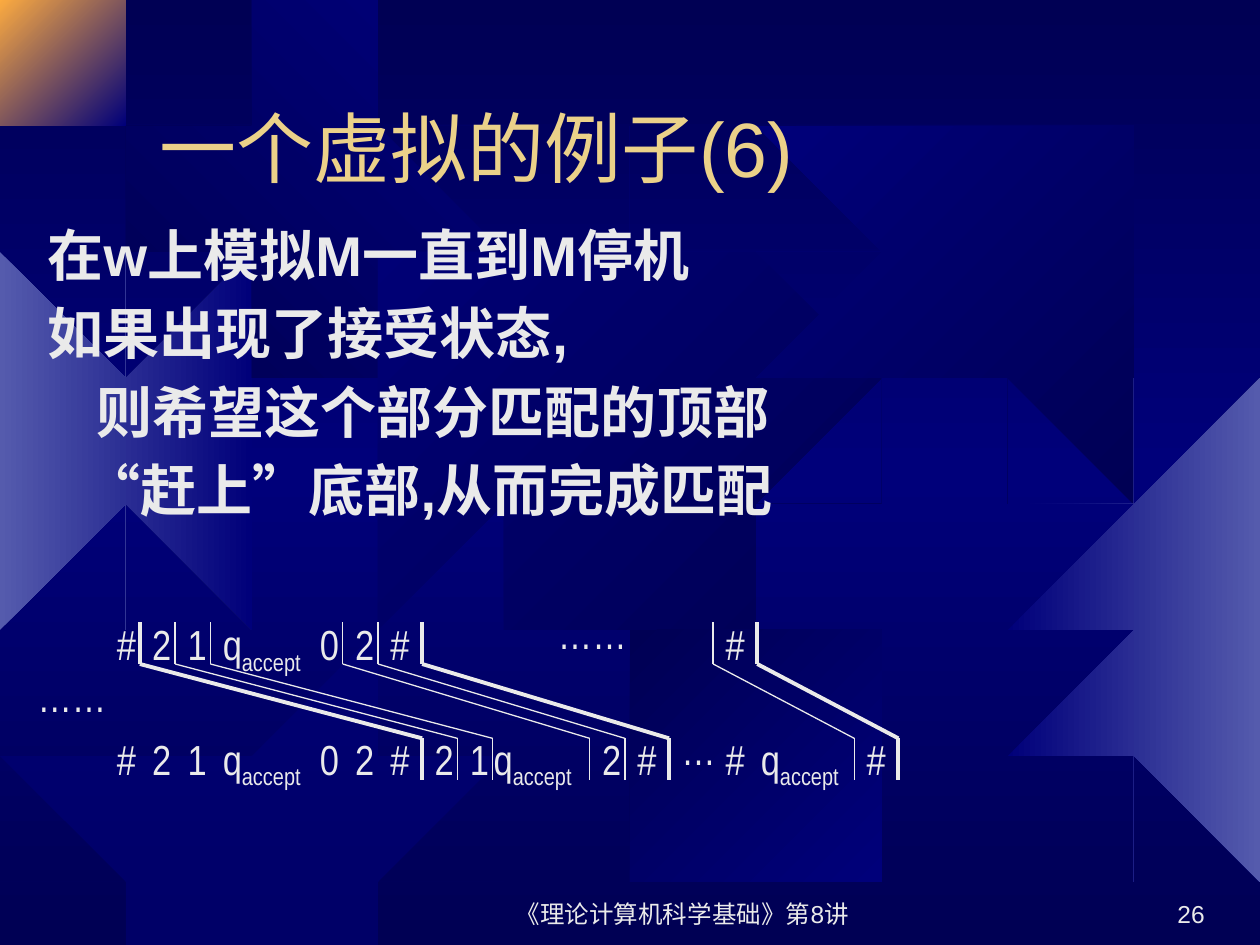
from copy import deepcopy
from lxml.etree import SubElement as Sub
from pptx import Presentation
from pptx.dml.color import RGBColor as Rgb
from pptx.enum.lang import MSO_LANGUAGE_ID as Lang
from pptx.enum.shapes import MSO_CONNECTOR as Conn
from pptx.enum.text import MSO_ANCHOR as Anchor, MSO_AUTO_SIZE as Auto, PP_ALIGN as Align
from pptx.oxml.ns import qn
from pptx.util import Inches, Pt

WIDE, HIGH = 10, 7.5
NAVY, BLUE, STEEL, AMBER = "000054", "00007A", "555BAD", "FCAB40"
PALE, GOLD = "EAEAEA", "EBD189"

# Outline of a twelve-tooth gear on a 401-unit square
SPAN = 401
GEAR = [
    (255, 67), (223, 59), (219, 0), (180, 3), (177, 59), (151, 68),
    (113, 20), (87, 35), (112, 88), (94, 106), (38, 85), (25, 107),
    (68, 145), (61, 174), (1, 178), (0, 210), (61, 219), (67, 246),
    (22, 287), (38, 312), (88, 288), (107, 307), (81, 355), (106, 375),
    (151, 332), (177, 341), (183, 400), (222, 401), (226, 339), (259, 330),
    (299, 374), (325, 358), (299, 306), (316, 284), (368, 309), (384, 281),
    (336, 246), (342, 216), (401, 210), (400, 180), (341, 171), (335, 148),
    (383, 114), (367, 87), (313, 109), (296, 91), (323, 41), (297, 25),
]

# left, top, size, first colour, last colour, clockwise angle
GEARS = [
    (-0.49, 2.01, 2.96, STEEL, BLUE, 0),
    (0.12, -0.04, 0.92, AMBER, BLUE, 45),
    (1.3, 0.39, 2.48, NAVY, BLUE, 315),
    (2.77, 1.39, 4.01, BLUE, NAVY, 45),
    (0, 5.25, 3.74, BLUE, None, 0),
    (4.91, 4.84, 2.48, NAVY, BLUE, 45),
    (6.18, 0.53, 3.2, BLUE, NAVY, 45),
    (7.82, 2.8, 4.37, BLUE, STEEL, 0),
]

BODY = [("在w上模拟M一直到M停机", 0), ("如果出现了接受状态,", 0),
        ("则希望这个部分匹配的顶部", 0.39), ("“赶上”底部,从而完成匹配", 0.29)]

# Tape symbols: row top, then (left, symbol) pairs
WIDTHS = {"#": 0.35, "0": 0.35, "1": 0.35, "2": 0.42, "q": 0.94,
          "…": 0.49, "……": 0.77}
START = [(0.83, "#"), (1.11, "2"), (1.39, "1"), (1.67, "q"),
         (2.44, "0"), (2.72, "2"), (3, "#")]
ROWS = [
    (4.86, START + [(5.66, "#")]),
    (5.77, START + [(3.35, "2"), (3.63, "1"), (3.82, "q"), (4.68, "2"),
                    (4.96, "#"), (5.66, "#"), (5.94, "q"), (6.78, "#")]),
    (4.77, [(4.33, "……")]),
    (5.27, [(0.2, "……")]),
    (5.69, [(5.31, "…")]),
]

# Domino edges: x in the top row, x in the bottom row, line width
EDGES = [(1.11, 3.35, 2.25), (1.39, 3.63, 0.75), (1.67, 3.91, 0.75),
         (2.72, 4.68, 0.75), (3, 4.96, 0.75), (3.35, 5.31, 2.25),
         (5.66, 6.78, 0.75), (6.01, 7.13, 2.25)]


def rgb(text):
    return Rgb.from_string(text)


def blend(fill, first, last, angle):
    fill.gradient()
    fill.gradient_angle = (360 - angle) % 360
    for stop, tone in zip(fill.gradient_stops, (first, last)):
        stop.color.rgb = rgb(tone)


def trim(points, axis, limit, sign):
    """Keep the part of a polygon on one side of a slide edge."""
    kept = []
    for a, b in zip(points, points[1:] + points[:1]):
        da, db = sign * (a[axis] - limit), sign * (b[axis] - limit)
        if da >= 0:
            kept.append(a)
        if da * db < 0:
            t = da / (da - db)
            kept.append(tuple(m + t * (n - m) for m, n in zip(a, b)))
    return kept


def add_gear(slide, left, top, size, first, last, angle):
    pts = [(left + x * size / SPAN, top + y * size / SPAN) for x, y in GEAR]
    for axis, limit in enumerate((WIDE, HIGH)):
        pts = trim(trim(pts, axis, 0, 1), axis, limit, -1)
    pen = slide.shapes.build_freeform(*pts[0], scale=Inches(1))
    pen.add_line_segments(pts[1:], close=True)
    gear = pen.convert_to_shape()
    gear.shadow.inherit = False
    gear.line.fill.background()
    if last:
        blend(gear.fill, first, last, angle)
    else:
        gear.fill.solid()
        gear.fill.fore_color.rgb = rgb(first)
        tone = next(gear.fill._xPr.iter(qn("a:srgbClr")))
        Sub(tone, qn("a:alpha"), val="50000")


def add_box(slide, left, top, width, height, **frame):
    box = slide.shapes.add_textbox(*map(Inches, (left, top, width, height)))
    text = box.text_frame
    text.word_wrap = True
    for key, val in frame.items():
        setattr(text, key, val)
    return text


def add_run(para, words, tone=PALE, drop=0, **look):
    run = para.add_run()
    run.text = words
    look = {"name": "Arial", "language_id": Lang.SIMPLIFIED_CHINESE, **look}
    for key, val in look.items():
        setattr(run.font, key, val)
    run.font.color.rgb = rgb(tone)
    if drop:
        run.font._rPr.set("baseline", str(drop * 1000))


def set_gap(para, share, indent=0):
    props = para._p.get_or_add_pPr()
    props.set("marL", str(Inches(indent)))
    props.set("indent", "0")
    Sub(Sub(props, qn("a:spcBef")), qn("a:spcPct"), val=str(share * 1000))


def add_line(slide, x1, y1, x2, y2, width):
    line = slide.shapes.add_connector(
        Conn.STRAIGHT, *map(Inches, (x1, y1, x2, y2)))
    line.line.color.rgb = rgb(PALE)
    line.line.width = Pt(width)
    Sub(line._element.spPr, qn("a:effectLst"))


def add_sign(slide, left, top, sign):
    text = add_box(slide, left, top, WIDTHS[sign], 0.5,
                   auto_size=Auto.SHAPE_TO_FIT_TEXT)
    para = text.paragraphs[0]
    set_gap(para, 50)
    look = {"name": "Arial Narrow", "size": Pt(24)}
    add_run(para, sign, **look)
    if sign == "q":
        add_run(para, "accept", drop=-25, **look)


def add_back(slide):
    fill = slide.background.fill
    blend(fill, NAVY, NAVY, 90)
    stops = next(fill._xPr.iter(qn("a:gsLst")))
    stops.insert(1, deepcopy(stops[0]))
    stops[1].set("pos", "50000")
    fill.gradient_stops[1].color.rgb = rgb(BLUE)


def main():
    deck = Presentation()
    deck.slide_width, deck.slide_height = Inches(WIDE), Inches(HIGH)
    slide = deck.slides.add_slide(deck.slide_layouts[6])

    # Backdrop
    add_back(slide)
    for gear in GEARS:
        add_gear(slide, *gear)

    # Footer, page number and title
    for place, words, side, size, tone in (
            ((3.83, 6.92, 3.17, 0.5), "《理论计算机科学基础》第8讲", Align.CENTER, 14, PALE),
            ((7.58, 6.92, 2.08, 0.5), "26", Align.RIGHT, 14, PALE),
            ((1.17, 0.33, 8.5, 1.25), "一个虚拟的例子(6)", Align.LEFT, 44, GOLD)):
        para = add_box(slide, *place, vertical_anchor=Anchor.BOTTOM).paragraphs[0]
        para.alignment = side
        add_run(para, words, tone, size=Pt(size))

    # Body
    text = add_box(slide, 0.28, 1.7, 8.44, 3.21)
    for i, (words, indent) in enumerate(BODY):
        para = text.add_paragraph() if i else text.paragraphs[0]
        set_gap(para, 20, indent)
        add_run(para, words, size=Pt(32), bold=True)

    # Matching diagram
    for top, signs in ROWS:
        for left, sign in signs:
            add_sign(slide, left, top, sign)
    for up, low, width in EDGES:
        add_line(slide, up, 4.94, up, 5.27, width)
        add_line(slide, up, 5.27, low, 5.86, width)
        add_line(slide, low, 5.86, low, 6.19, width)

    deck.save("out.pptx")


main()
